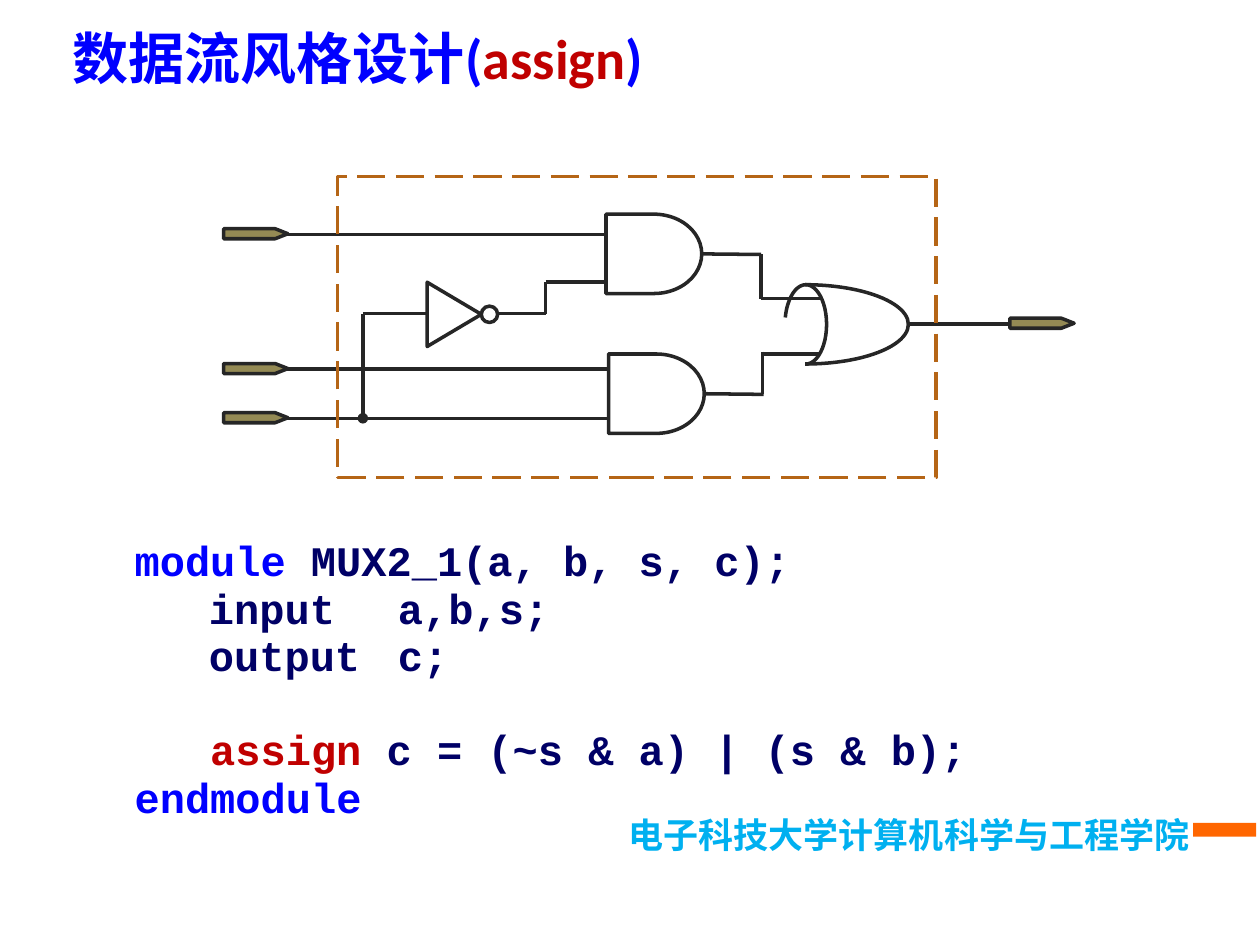
import pptx
import pptx.util
import pptx.dml.color
import pptx.enum.dml
import pptx.enum.shapes
import pptx.enum.text
import pptx.oxml
import pptx.oxml.ns

Inches = pptx.util.Inches
Pt = pptx.util.Pt
SHAPE = pptx.enum.shapes.MSO_SHAPE
ALIGN = pptx.enum.text.PP_ALIGN
ANCHOR = pptx.enum.text.MSO_ANCHOR

INK, WHITE, OLIVE, FRAME = "262626", "FFFFFF", "948A54", "B56516"
BLUE, NAVY, RED, CYAN, ORANGE = "0000FF", "000066", "C00000", "00B0F0", "FF6600"
CHINESE_FONT = "Noto Sans CJK SC"


def color(value):
    """Turn a hex string into a colour."""
    return pptx.dml.color.RGBColor.from_string(value)


def add_element(parent, tag, **attributes):
    """Append a DrawingML element with the given attributes."""
    element = pptx.oxml.parse_xml(f"<a:{tag} {pptx.oxml.ns.nsdecls('a')}/>")
    for name, value in attributes.items():
        element.set(name, value)
    parent.append(element)


def add_shape(shapes, kind, left, top, width, height, fill=None, line=INK, rotation=0):
    """Add a preset shape with plain fill and outline."""
    shape = shapes.add_shape(kind, Inches(left), Inches(top), Inches(width), Inches(height))
    shape.shadow.inherit = False
    shape.rotation = rotation
    if fill:
        shape.fill.solid()
        shape.fill.fore_color.rgb = color(fill)
    else:
        shape.fill.background()
    if line:
        shape.line.color.rgb = color(line)
        shape.line.width = Pt(2)
    else:
        shape.line.fill.background()
    return shape


def add_wire(shapes, x1, y1, x2, y2):
    """Add a straight wire."""
    wire = shapes.add_connector(pptx.enum.shapes.MSO_CONNECTOR.STRAIGHT,
                                Inches(x1), Inches(y1), Inches(x2), Inches(y2))
    wire.line.color.rgb = color(INK)
    wire.line.width = Pt(2)
    add_element(wire._element.spPr, "effectLst")
    return wire


def add_text_box(slide, left, top, width, height, wrap=True):
    """Add a text box and return its frame."""
    box = slide.shapes.add_textbox(Inches(left), Inches(top), Inches(width), Inches(height))
    box.text_frame.word_wrap = wrap
    return box.text_frame


def add_run(paragraph, text, size, font, fill):
    """Add one bold run."""
    run = paragraph.add_run()
    run.text = text
    run.font.size = Pt(size)
    run.font.bold = True
    run.font.name = font
    run.font.color.rgb = color(fill)
    add_element(run.font._element, "ea", typeface=CHINESE_FONT)


def add_title(slide, left, top, width, height):
    """Place the slide title."""
    frame = add_text_box(slide, left, top, width, height)
    frame.vertical_anchor = ANCHOR.MIDDLE
    for text, fill in (("数据流风格设计(", BLUE), ("assign", RED), (")", BLUE)):
        add_run(frame.paragraphs[0], text, 32, "Calibri", fill)


def add_footer(slide, left, top, width, height):
    """Place the school name and the orange bar at its end."""
    frame = add_text_box(slide, left, top, width, height, wrap=False)
    frame.paragraphs[0].alignment = ALIGN.RIGHT
    add_run(frame.paragraphs[0], "电子科技大学计算机科学与工程学院", 20, CHINESE_FONT, CYAN)
    add_shape(slide.shapes, SHAPE.RECTANGLE, left + 8.65, top + 0.12, 0.5, 0.11, ORANGE, None)


def add_or_gate(shapes, left, top):
    """Draw an OR gate from three arcs."""
    add_shape(shapes, SHAPE.ARC, left, top, 1.64, 0.63)
    lower = add_shape(shapes, SHAPE.ARC, left, top, 1.64, 0.63)
    lower._element.spPr.xfrm.set("flipV", "1")
    back = add_shape(shapes, SHAPE.ARC, left + 0.51, top + 0.15, 0.63, 0.33, rotation=90)
    back.adjustments[0] = 108.6 * 0.6
    back.adjustments[1] = 0


def add_circuit(slide, left, top, width, height):
    """Draw the multiplexer circuit around its dashed frame."""
    shapes = slide.shapes.add_group_shape().shapes

    def wire(x1, y1, x2, y2):
        return add_wire(shapes, left + x1, top + y1, left + x2, top + y2)

    def part(kind, x, y, *size, **style):
        return add_shape(shapes, kind, left + x, top + y, *size, **style)

    input_a, input_b, input_s = 0.46, 1.53, 1.92
    for y, end in ((input_a, 2.12), (input_b, 2.75), (input_s, 2.73)):
        wire(-0.55, y, end, y)
    branch = wire(0.2, 1.09, 0.2, input_s)
    add_element(branch.line._get_or_add_ln(), "tailEnd", type="oval")
    for points in ((0.2, 1.09, 1.65, 1.09), (1.65, 0.84, 1.65, 1.09),
                   (1.65, 0.84, 2.13, 0.84), (3.36, 0.97, 3.83, 0.97),
                   (3.36, 1.41, 3.83, 1.41), (3.36, 0.62, 3.36, 0.97),
                   (3.37, 1.39, 3.37, 1.73), (4.53, 1.17, 5.33, 1.17)):
        wire(*points)

    part(SHAPE.FLOWCHART_EXTRACT, 0.67, 0.88, 0.51, 0.43, fill=WHITE, rotation=90)
    part(SHAPE.OVAL, 1.14, 1.03, 0.13, 0.13, fill=WHITE)
    for x, y, turn in ((2.13, 0.3, 3.36), (2.15, 1.41, 3.38)):
        gate = part(SHAPE.FLOWCHART_DELAY, x, y, 0.76, 0.63, fill=WHITE)
        wire(x + 0.76, y + 0.32, turn, y + 0.32).begin_connect(gate, 3)
    add_or_gate(shapes, left + 2.89, top + 0.86)
    for x, y in ((-0.69, input_a), (-0.69, input_b), (-0.69, input_s), (5.55, 1.17)):
        part(SHAPE.FLOWCHART_OFFPAGE_CONNECTOR, x, y - 0.26, 0.08, 0.51,
             fill=OLIVE, rotation=270)
    frame = part(SHAPE.RECTANGLE, 0, 0, width, height, line=FRAME)
    frame.line.dash_style = pptx.enum.dml.MSO_LINE.LONG_DASH


def add_code(slide, left, top, width, height):
    """Place the Verilog listing."""
    lines = (
        (("module", BLUE), (" MUX2_1(a, b, s, c);", NAVY)),
        (("\tinput\ta,b,s;", NAVY),),
        (("\toutput\tc;", NAVY),),
        (("   ", NAVY), ("assign", RED), (" c = (~s & a) | (s & b);", NAVY)),
        (("endmodule", BLUE),),
    )
    frame = add_text_box(slide, left, top, width, height)
    for index, line in enumerate(lines):
        paragraph = frame.paragraphs[0] if index == 0 else frame.add_paragraph()
        paragraph.line_spacing = 0.95
        if line[0][0] == "   ":
            paragraph.space_before = Pt(26)
        properties = paragraph._element.get_or_add_pPr()
        properties.set("marL", str(Inches(0.59)))
        properties.set("indent", str(Inches(-0.59)))
        for text, fill in line:
            add_run(paragraph, text, 24, "Courier New", fill)


def main():
    """Build and save the slide."""
    presentation = pptx.Presentation()
    presentation.slide_width = Inches(10)
    presentation.slide_height = Inches(7.5)
    slide = presentation.slides.add_slide(presentation.slide_layouts[6])
    add_footer(slide, 0.82, 6.41, 8.72, 0.44)
    add_title(slide, 0.48, 0.08, 9.19, 0.75)
    add_circuit(slide, 2.68, 1.4, 4.75, 2.39)
    add_code(slide, 0.97, 4.22, 6.86, 2.28)
    presentation.save("out.pptx")


if __name__ == "__main__":
    main()
